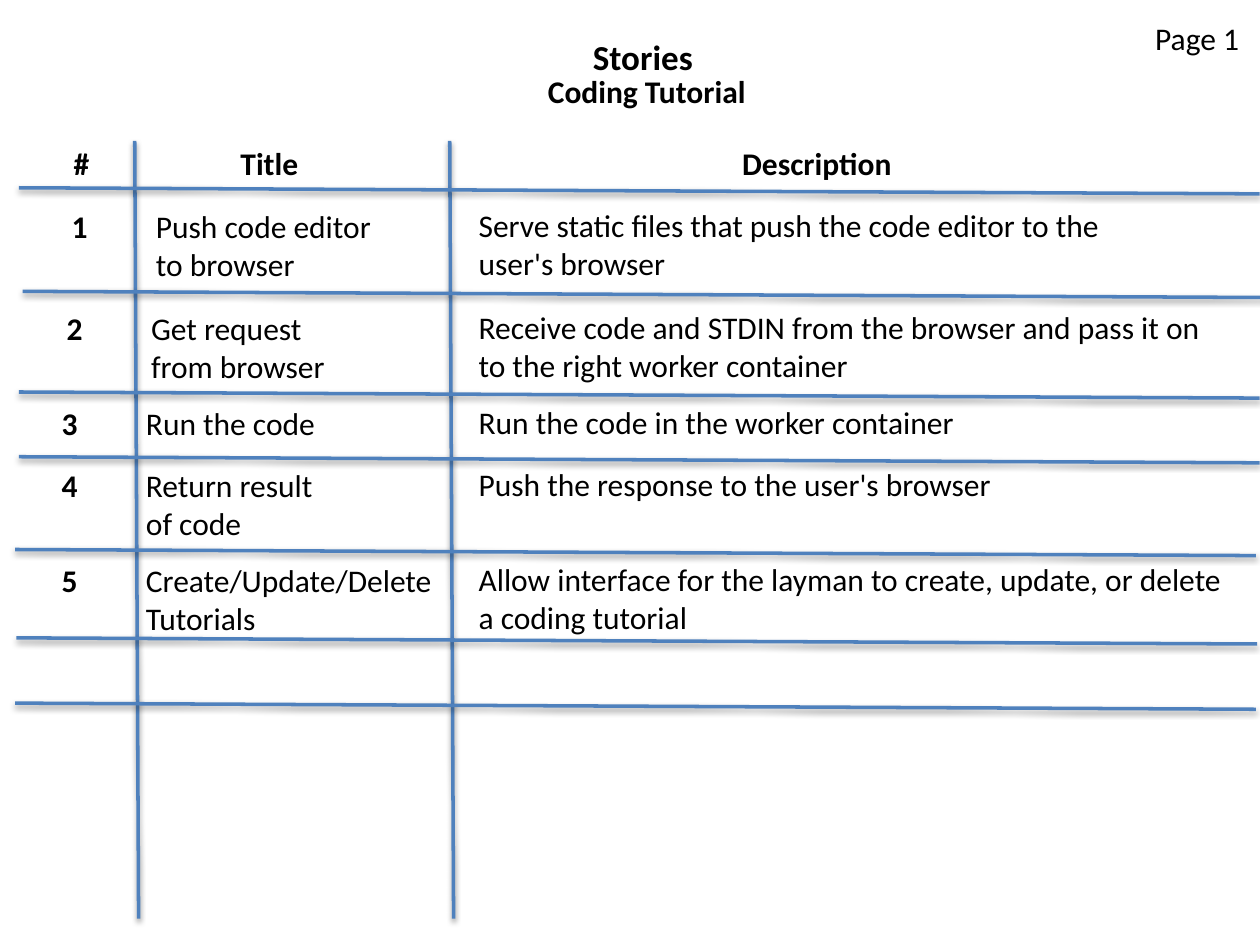
"""Build a story list slide: a ruled grid of numbered stories with titles and descriptions."""
from pptx import Presentation
from pptx.dml.color import RGBColor
from pptx.enum.shapes import MSO_CONNECTOR
from pptx.enum.text import MSO_ANCHOR, MSO_AUTO_SIZE, PP_ALIGN
from pptx.util import Pt

COLORS = {"text": "000000", "rule": "4F81BD"}
FRAME = {
    "word_wrap": False,
    "auto_size": MSO_AUTO_SIZE.SHAPE_TO_FIT_TEXT,
    "vertical_anchor": MSO_ANCHOR.TOP,
    "margin_left": Pt(7.2),
    "margin_right": Pt(7.2),
    "margin_top": Pt(3.6),
    "margin_bottom": Pt(3.6),
}


def write(sp, text, size=18, bold=False):
    tf = sp.text_frame
    tf.text = text
    for name, value in FRAME.items():
        setattr(tf, name, value)
    for p in tf.paragraphs:
        p.alignment = PP_ALIGN.LEFT
        for r in p.runs:
            for name, value in {"name": "Calibri", "size": Pt(size), "bold": bold}.items():
                setattr(r.font, name, value)
            r.font.color.rgb = RGBColor.from_string(COLORS["text"])


def add_label(text, left, top, width, bold=False):
    sp = s.shapes.add_textbox(Pt(left), Pt(top), Pt(width), Pt(29))
    write(sp, text, bold=bold)


prs = Presentation()
prs.slide_width, prs.slide_height = Pt(720), Pt(540)
s = prs.slides.add_slide(prs.slide_layouts[5])

title = s.shapes.title
placement = {"left": 331.6, "top": 16.5, "width": 74, "height": 31}
for name, value in placement.items():
    setattr(title, name, Pt(value))
write(title, "Stories", size=20, bold=True)
add_label("Coding Tutorial", 306, 37.5, 132, bold=True)
add_label("Page 1", 653, 7.2, 65)

column_rules = [(x, 80.5, x + 2.2, 525) for x in (77, 257)]
row_starts = [(10.8, 107.3), (13, 166.5), (10.8, 224), (10.8, 261),
              (8.6, 314), (9.4, 364.5), (8.6, 401.8)]
row_rules = [(x, y, x + 709, y + 3.5) for x, y in row_starts]
for x1, y1, x2, y2 in column_rules + row_rules:
    rule = s.shapes.add_connector(MSO_CONNECTOR.STRAIGHT, Pt(x1), Pt(y1), Pt(x2), Pt(y2))
    rule.line.color.rgb = RGBColor.from_string(COLORS["rule"])
    rule.line.width = Pt(2)

for heading, left, width in [("#", 35, 23), ("Title", 130.3, 49), ("Description", 417, 102)]:
    add_label(heading, left, 78.5, width, bold=True)

stories = [
    (114.8, 33.8, 82, 142.5, "Push code editor\vto browser",
     "Serve static files that push the code editor to the\nuser's browser"),
    (173, 31, 79.2, 142.5, "Get request\nfrom browser",
     "Receive code and STDIN from the browser and pass it on\nto the right worker container"),
    (227.5, 28.1, 76.3, 142.5, "Run the code", "Run the code in the worker container"),
    (262.8, 28.1, 76.3, 142.5, "Return result\vof code",
     "Push the response to the user's browser"),
    (317, 28.1, 76.3, 181, "Create/Update/Delete\nTutorials",
     "Allow interface for the layman to create, update, or delete\na coding tutorial"),
]
for number, story in enumerate(stories, 1):
    top, number_left, name_left, name_width, name, description = story
    add_label(str(number), number_left, top, 23, bold=True)
    add_label(name, name_left, top, name_width)
    add_label(description, 266.4, top - 0.6, 442)

prs.save("out.pptx")
